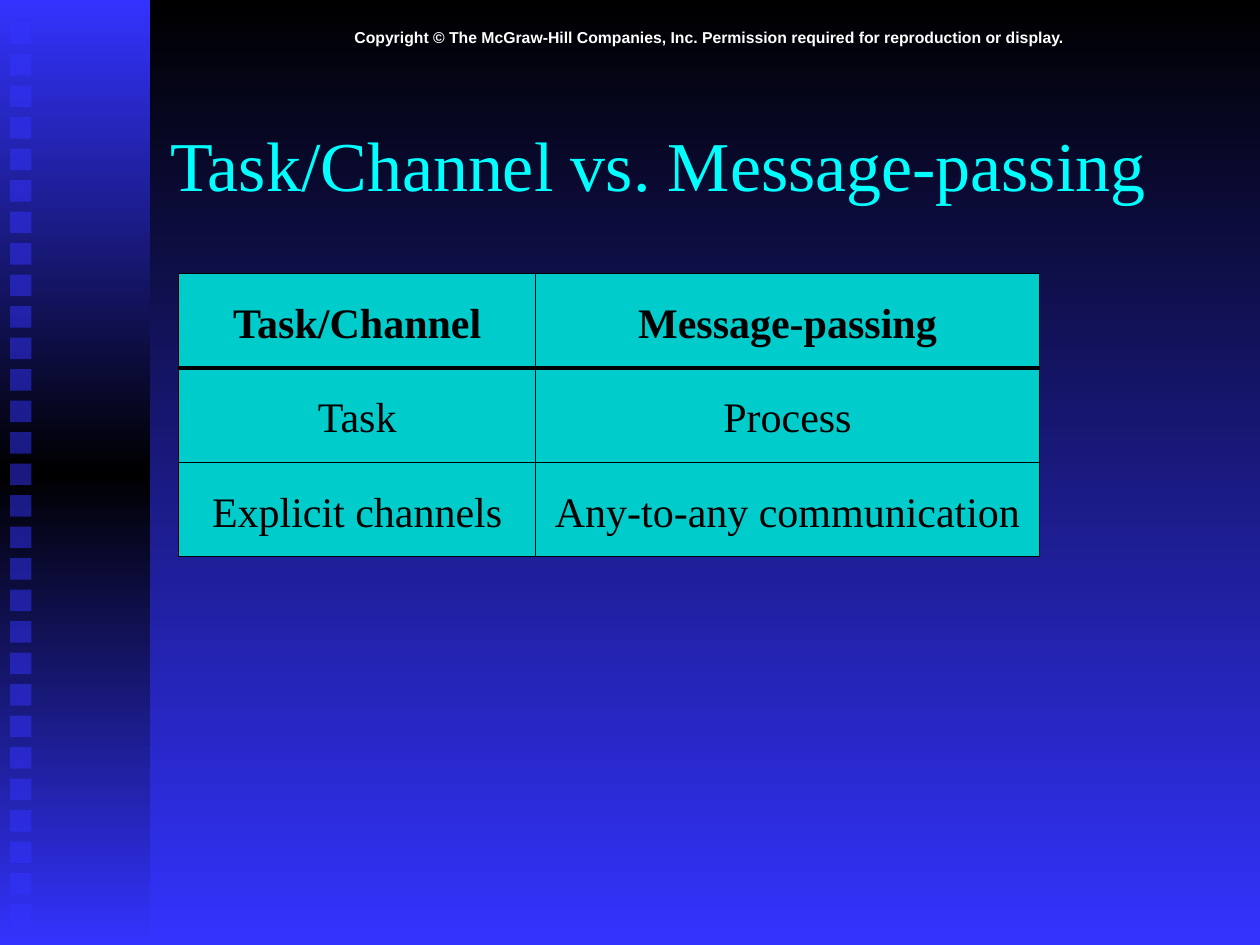
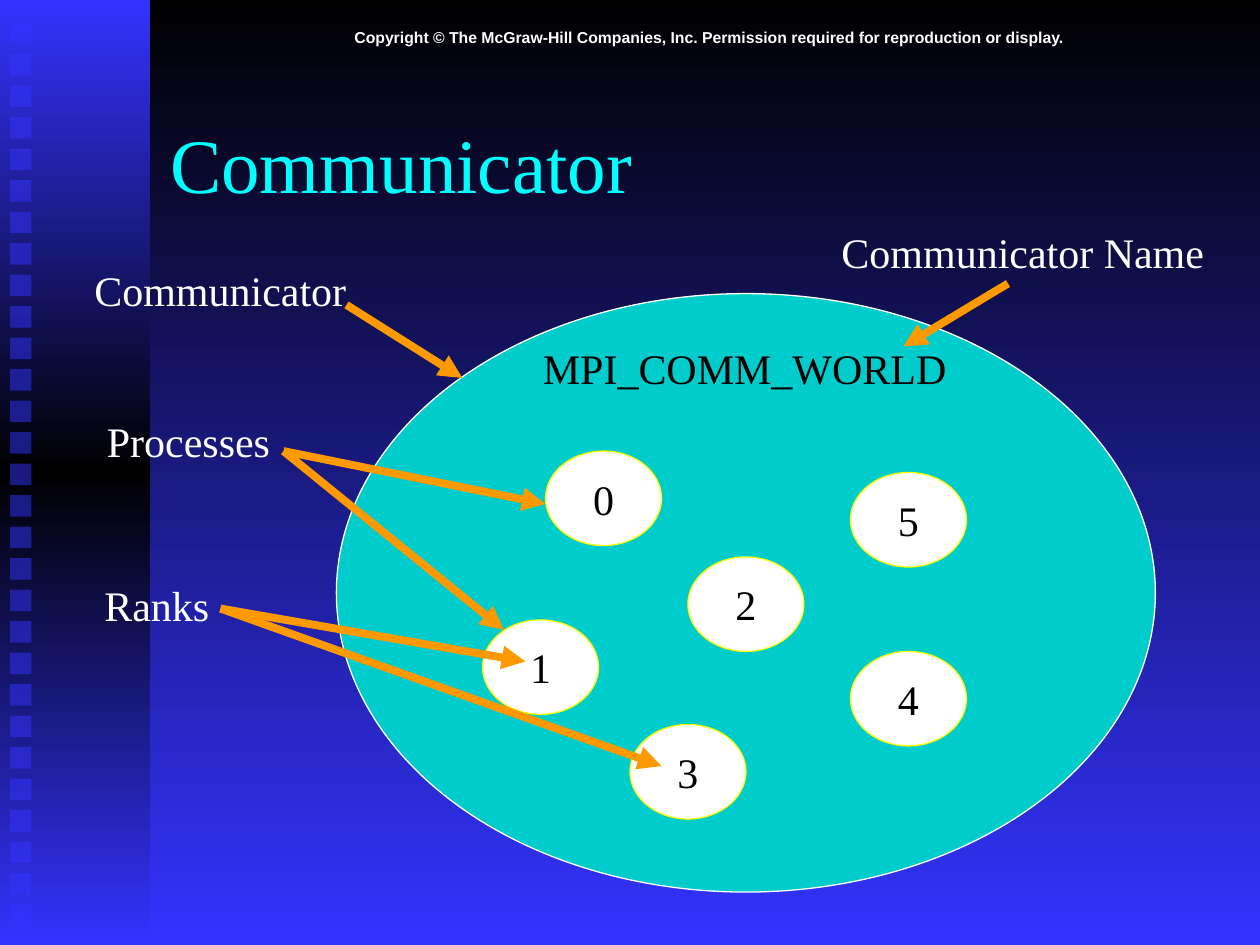
"""Build two slides on message-passing: a model comparison and a communicator diagram."""
from copy import deepcopy
from typing import NamedTuple

from lxml import etree
from pptx import Presentation
from pptx.dml.color import RGBColor
from pptx.enum.shapes import MSO_CONNECTOR, MSO_SHAPE
from pptx.enum.text import MSO_ANCHOR, MSO_AUTO_SIZE, PP_ALIGN
from pptx.oxml.ns import qn
from pptx.util import Inches, Pt

RECTANGLE = MSO_SHAPE.RECTANGLE
OVAL = MSO_SHAPE.OVAL
STRAIGHT = MSO_CONNECTOR.STRAIGHT
MIDDLE = MSO_ANCHOR.MIDDLE
LEFT = PP_ALIGN.LEFT
CENTER = PP_ALIGN.CENTER
FIT_SHAPE = MSO_AUTO_SIZE.SHAPE_TO_FIT_TEXT
NO_FIT = MSO_AUTO_SIZE.NONE

BLACK = RGBColor(0x00, 0x00, 0x00)
WHITE = RGBColor(0xFF, 0xFF, 0xFF)
BLUE = RGBColor(0x33, 0x33, 0xFF)
CYAN = RGBColor(0x00, 0xFF, 0xFF)
TEAL = RGBColor(0x00, 0xCC, 0xCC)
YELLOW = RGBColor(0xFF, 0xFF, 0x00)
ORANGE = RGBColor(0xFF, 0x99, 0x00)

SERIF = "Times New Roman"
SANS = "Arial"
BODY_SIZE = 24
THIN = 0.75
TITLE_ONLY = 5
COPYRIGHT = ("Copyright © The McGraw-Hill Companies, Inc. "
             "Permission required for reproduction or display.")

SQUARE_COUNT = 29
SQUARE_TOP = 0.18
SQUARE_STEP = 0.25
SQUARE_SIDE = 0.17

TABLE_ROWS = (
    ("Task/Channel", "Message-passing"),
    ("Task", "Process"),
    ("Explicit channels", "Any-to-any communication"),
)
COLUMN_WIDTHS = (2.83, 4)
ROW_HEIGHT = 0.75


class Area(NamedTuple):
    left: float
    top: float
    width: float
    height: float

    def lengths(self) -> list:
        return [Inches(value) for value in self]


class Label(NamedTuple):
    text: str
    area: Area
    color: RGBColor = WHITE


class Process(NamedTuple):
    rank: int
    left: float
    top: float


class Arrow(NamedTuple):
    start: tuple[float, float]
    end: tuple[float, float]


LABELS = (
    Label("MPI_COMM_WORLD", Area(4.21, 2.67, 3.45, 0.5), BLACK),
    Label("Communicator", Area(0.65, 2.05, 2.25, 0.5)),
    Label("Processes", Area(0.75, 3.25, 1.55, 0.5)),
    Label("Ranks", Area(0.73, 4.55, 1.1, 0.5)),
    Label("Communicator Name", Area(6.58, 1.75, 3.15, 0.5)),
)
PROCESSES = (
    Process(0, 4.33, 3.58),
    Process(2, 5.46, 4.42),
    Process(1, 3.83, 4.92),
    Process(3, 5, 5.75),
    Process(4, 6.75, 5.17),
    Process(5, 6.75, 3.75),
)
ARROWS = (
    Arrow((2.75, 2.42), (3.67, 3)),
    Arrow((2.25, 3.58), (4.33, 4)),
    Arrow((2.25, 3.58), (4, 5)),
    Arrow((1.75, 4.83), (5.25, 6.08)),
    Arrow((1.75, 4.83), (4.17, 5.25)),
    Arrow((8, 2.25), (7.17, 2.75)),
)


def write(frame, text: str, color: RGBColor, size: float = BODY_SIZE,
          align=LEFT, font: str = SERIF, bold: bool = False) -> None:
    frame.text = text
    para = frame.paragraphs[0]
    para.alignment = align
    span = para.runs[0]
    span.font.name = font
    span.font.size = Pt(size)
    span.font.bold = bold
    span.font.color.rgb = color


def paint_gradient(fill, root, colors: tuple[RGBColor, ...]) -> None:
    fill.gradient()
    fill.gradient_angle = 270
    stop_list = next(root.iter(qn("a:gsLst")))
    while len(stop_list) < len(colors):
        stop_list.append(deepcopy(stop_list[0]))
    for index, (stop, color) in enumerate(zip(fill.gradient_stops, colors)):
        stop.position = index / (len(colors) - 1)
        stop.color.rgb = color


def add_figure(page, kind, area: Area, fill: RGBColor | None = None,
               line: RGBColor | None = None):
    figure = page.shapes.add_shape(kind, *area.lengths())
    figure.shadow.inherit = False
    if fill is not None:
        figure.fill.solid()
        figure.fill.fore_color.rgb = fill
    if line is None:
        figure.line.fill.background()
    else:
        figure.line.color.rgb = line
        figure.line.width = Pt(THIN)
    return figure


def add_label(page, label: Label) -> None:
    box = page.shapes.add_textbox(*label.area.lengths())
    box.text_frame.word_wrap = True
    box.text_frame.auto_size = FIT_SHAPE
    write(box.text_frame, label.text, label.color)


def add_process(page, process: Process) -> None:
    area = Area(process.left, process.top, 0.92, 0.75)
    figure = add_figure(page, OVAL, area, WHITE, YELLOW)
    figure.text_frame.word_wrap = False
    figure.text_frame.vertical_anchor = MIDDLE
    write(figure.text_frame, str(process.rank), BLACK, align=CENTER)


def add_arrow(page, arrow: Arrow) -> None:
    ends = [Inches(value) for value in arrow.start + arrow.end]
    connector = page.shapes.add_connector(STRAIGHT, *ends)
    connector.line.color.rgb = ORANGE
    connector.line.width = Pt(4.5)
    properties = connector.element.spPr
    etree.SubElement(properties.find(qn("a:ln")), qn("a:tailEnd"), type="triangle")
    etree.SubElement(properties, qn("a:effectLst"))


def add_page(deck, title: str, title_size: float):
    page = deck.slides.add_slide(deck.slide_layouts[TITLE_ONLY])
    band = add_figure(page, RECTANGLE, Area(0, 0, 1.19, 7.5))
    paint_gradient(band.fill, band.element, (BLUE, BLACK, BLUE))
    for index in range(SQUARE_COUNT):
        top = SQUARE_TOP + index * SQUARE_STEP
        square = add_figure(page, RECTANGLE, Area(0.08, top, SQUARE_SIDE, SQUARE_SIDE), BLUE)
        color = next(square.element.iter(qn("a:srgbClr")))
        etree.SubElement(color, qn("a:alpha"), val="50000")

    notice = page.shapes.add_textbox(*Area(1.25, 0.17, 8.75, 0.25).lengths())
    notice.text_frame.word_wrap = True
    notice.text_frame.auto_size = FIT_SHAPE
    write(notice.text_frame, COPYRIGHT, WHITE, 9, CENTER, SANS, True)

    heading = page.shapes.title
    heading.left, heading.top, heading.width, heading.height = Area(1.25, 0.67, 8.5, 1.25).lengths()
    heading.text_frame.word_wrap = True
    heading.text_frame.auto_size = NO_FIT
    heading.text_frame.vertical_anchor = MIDDLE
    write(heading.text_frame, title, CYAN, title_size)
    return page


def set_borders(cell, top: float, bottom: float) -> None:
    properties = cell._tc.get_or_add_tcPr()
    for tag, width in (("lnL", THIN), ("lnR", THIN), ("lnT", top), ("lnB", bottom)):
        border = etree.SubElement(properties, qn(f"a:{tag}"), w=str(Pt(width)))
        fill = etree.SubElement(border, qn("a:solidFill"))
        etree.SubElement(fill, qn("a:srgbClr"), val=str(BLACK))


def add_comparison(page) -> None:
    area = Area(1.42, 2.17, sum(COLUMN_WIDTHS), ROW_HEIGHT * len(TABLE_ROWS))
    table = page.shapes.add_table(len(TABLE_ROWS), len(COLUMN_WIDTHS), *area.lengths()).table
    table.horz_banding = False
    for column, width in zip(table.columns, COLUMN_WIDTHS):
        column.width = Inches(width)
    rules = (THIN, 3, THIN, THIN)
    for row_index, texts in enumerate(TABLE_ROWS):
        table.rows[row_index].height = Inches(ROW_HEIGHT)
        for column_index, text in enumerate(texts):
            cell = table.cell(row_index, column_index)
            set_borders(cell, rules[row_index], rules[row_index + 1])
            cell.fill.solid()
            cell.fill.fore_color.rgb = TEAL
            cell.vertical_anchor = MIDDLE
            cell.margin_top = Inches(0.1)
            write(cell.text_frame, text, BLACK, align=CENTER, bold=row_index == 0)


def add_communicator(page) -> None:
    add_figure(page, OVAL, Area(2.67, 2.33, 6.5, 4.75), TEAL, WHITE)
    for process in PROCESSES:
        add_process(page, process)
    for label in LABELS:
        add_label(page, label)
    for arrow in ARROWS:
        add_arrow(page, arrow)


def main() -> None:
    deck = Presentation()
    deck.slide_width = Inches(10)
    deck.slide_height = Inches(7.5)
    master = deck.slide_master
    paint_gradient(master.background.fill, master.element, (BLACK, BLUE))
    add_comparison(add_page(deck, "Task/Channel vs. Message-passing", 40))
    add_communicator(add_page(deck, "Communicator", 44))
    deck.save("out.pptx")


if __name__ == "__main__":
    main()
